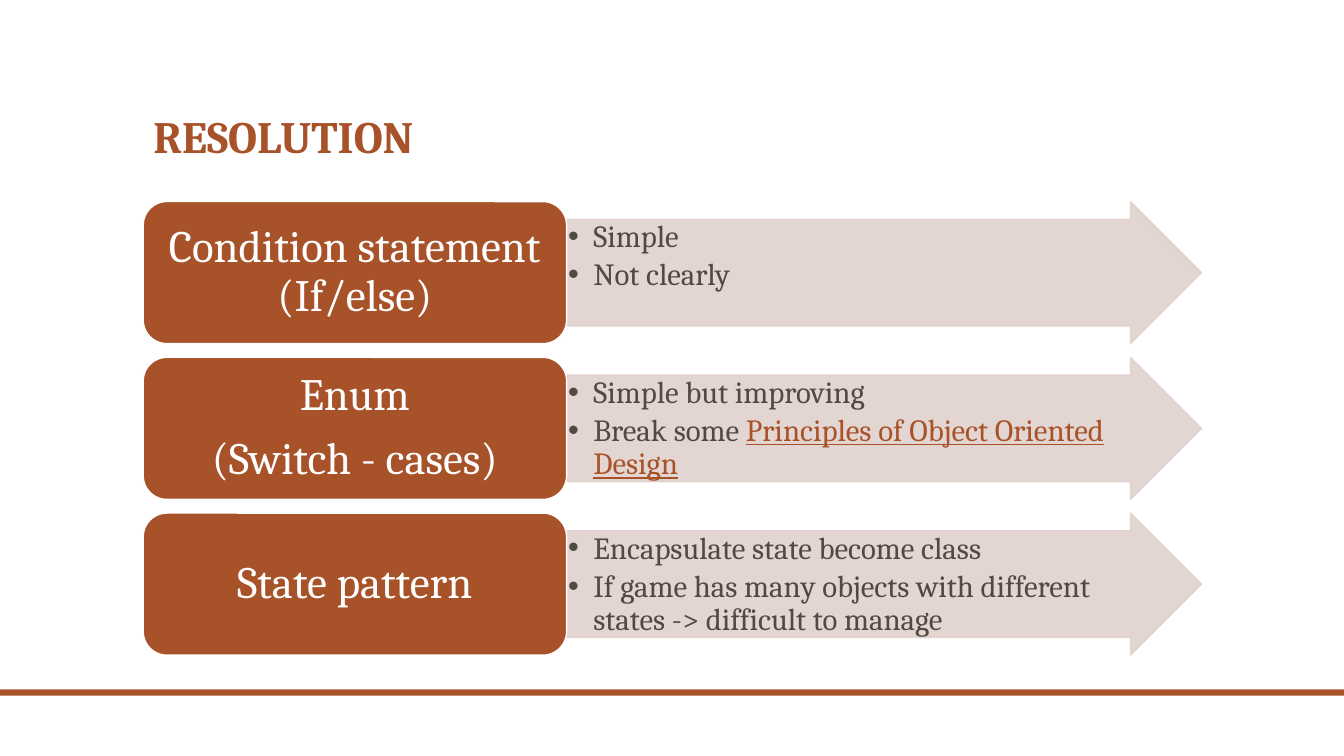
from lxml import etree
from pptx import Presentation
from pptx import util as u
from pptx.dml.color import RGBColor
from pptx.enum import shapes, text
from pptx.oxml import ns

RUST = RGBColor(0xA8, 0x52, 0x29)
BLUSH = RGBColor(0xE1, 0xD1, 0xCD)
BROWN = RGBColor(0x51, 0x4A, 0x40)
WHITE = RGBColor(0xFF, 0xFF, 0xFF)

LEFT, TOP = 3.61, 5.08
LABEL_WIDTH, ARROW_WIDTH = 10.67, 16
ROW_HEIGHT, ROW_PITCH = 3.58, 3.925

ROWS = [
    (["Condition statement (If/else)"],
     [["Simple"], ["Not clearly"]]),
    (["Enum", "(Switch - cases)"],
     [["Simple but improving"],
      ["Break some ", "Principles of Object Oriented Design"]]),
    (["State pattern"],
     [["Encapsulate state become class"],
      ["If game has many objects with different states -> difficult to manage"]]),
]


def apply(target, values):
    for name, value in values.items():
        setattr(target, name, value)


class SlideBuilder:
    font_name = "Cambria"
    title_font = {"size": u.Pt(32), "bold": True}
    label_font = {"size": u.Pt(32)}
    bullet_font = {"size": u.Pt(22)}
    label_paragraph = {"alignment": text.PP_ALIGN.CENTER, "line_spacing": 0.9,
                       "space_after": u.Pt(11)}
    bullet_paragraph = {"alignment": text.PP_ALIGN.LEFT, "line_spacing": 0.9,
                        "space_after": u.Pt(3.6)}
    label_frame = {"word_wrap": True, "vertical_anchor": text.MSO_ANCHOR.MIDDLE,
                   "margin_left": u.Cm(0.33), "margin_right": u.Cm(0.33),
                   "margin_top": u.Cm(0.17), "margin_bottom": u.Cm(0.17)}
    bullet_frame = {"word_wrap": True, "vertical_anchor": text.MSO_ANCHOR.TOP,
                    "margin_left": u.Cm(0.04), "margin_right": u.Cm(0.94),
                    "margin_top": u.Cm(0.04), "margin_bottom": u.Cm(0.04)}

    def __init__(self, slide):
        self.slide = slide

    def add_run(self, paragraph, words, color, font_values):
        run = paragraph.add_run()
        run.text = words
        apply(run.font, {"name": self.font_name, **font_values})
        run.font.color.rgb = color

    def add_shape(self, kind, left, top, width, height, fill, line=None):
        shape = self.slide.shapes.add_shape(
            kind, u.Cm(left), u.Cm(top), u.Cm(width), u.Cm(height))
        shape.shadow.inherit = False
        shape.fill.solid()
        shape.fill.fore_color.rgb = fill
        if line is None:
            shape.line.fill.background()
        else:
            shape.line.color.rgb = line
            shape.line.width = u.Pt(1)
        return shape

    def add_paragraphs(self, shape, count, frame_values, paragraph_values):
        frame = shape.text_frame
        apply(frame, frame_values)
        for _ in range(count - 1):
            frame.add_paragraph()
        for paragraph in frame.paragraphs:
            apply(paragraph, paragraph_values)
        return frame.paragraphs

    def add_title(self, words):
        title = self.slide.shapes.title
        apply(title, {"left": u.Cm(LEFT), "top": u.Cm(1.07),
                      "width": u.Cm(26.67), "height": u.Cm(3.18)})
        title.text_frame.vertical_anchor = text.MSO_ANCHOR.BOTTOM
        paragraph = title.text_frame.paragraphs[0]
        apply(paragraph, {"alignment": text.PP_ALIGN.LEFT, "line_spacing": 0.9})
        self.add_run(paragraph, words, RUST, self.title_font)

    def add_label(self, top, lines):
        label = self.add_shape(shapes.MSO_SHAPE.ROUNDED_RECTANGLE, LEFT, top,
                               LABEL_WIDTH, ROW_HEIGHT, RUST, WHITE)
        paragraphs = self.add_paragraphs(
            label, len(lines), self.label_frame, self.label_paragraph)
        for paragraph, line in zip(paragraphs, lines):
            self.add_run(paragraph, line, WHITE, self.label_font)

    def add_arrow(self, top, bullets):
        arrow = self.add_shape(shapes.MSO_SHAPE.RIGHT_ARROW, LEFT + LABEL_WIDTH, top,
                               ARROW_WIDTH, ROW_HEIGHT, BLUSH, BLUSH)
        arrow.adjustments[0] = 0.75
        arrow.adjustments[1] = 0.5
        for color in arrow.element.spPr.iter(ns.qn("a:srgbClr")):
            etree.SubElement(color, ns.qn("a:alpha"), val="90000")
        paragraphs = self.add_paragraphs(
            arrow, len(bullets), self.bullet_frame, self.bullet_paragraph)
        for paragraph, (words, *linked) in zip(paragraphs, bullets):
            self.add_bullet(paragraph)
            self.add_run(paragraph, words, BROWN, self.bullet_font)
            for link in linked:
                self.add_run(paragraph, link, RUST,
                             {**self.bullet_font, "underline": True})

    def add_bullet(self, paragraph):
        properties = paragraph._p.get_or_add_pPr()
        properties.set("marL", str(u.Cm(0.635)))
        properties.set("indent", str(-u.Cm(0.635)))
        etree.SubElement(properties, ns.qn("a:buFont"), typeface="Arial")
        etree.SubElement(properties, ns.qn("a:buChar"), char="•")


def main():
    presentation = Presentation()
    presentation.slide_width = u.Cm(33.87)
    presentation.slide_height = u.Cm(19.05)
    builder = SlideBuilder(presentation.slides.add_slide(presentation.slide_layouts[5]))
    builder.add_shape(shapes.MSO_SHAPE.RECTANGLE, 0, 17.37, 33.87, 0.16, RUST)
    builder.add_title("RESOLUTION")
    for index, (lines, bullets) in enumerate(ROWS):
        top = TOP + index * ROW_PITCH
        builder.add_arrow(top, bullets)
        builder.add_label(top, lines)
    presentation.save("out.pptx")


if __name__ == "__main__":
    main()
